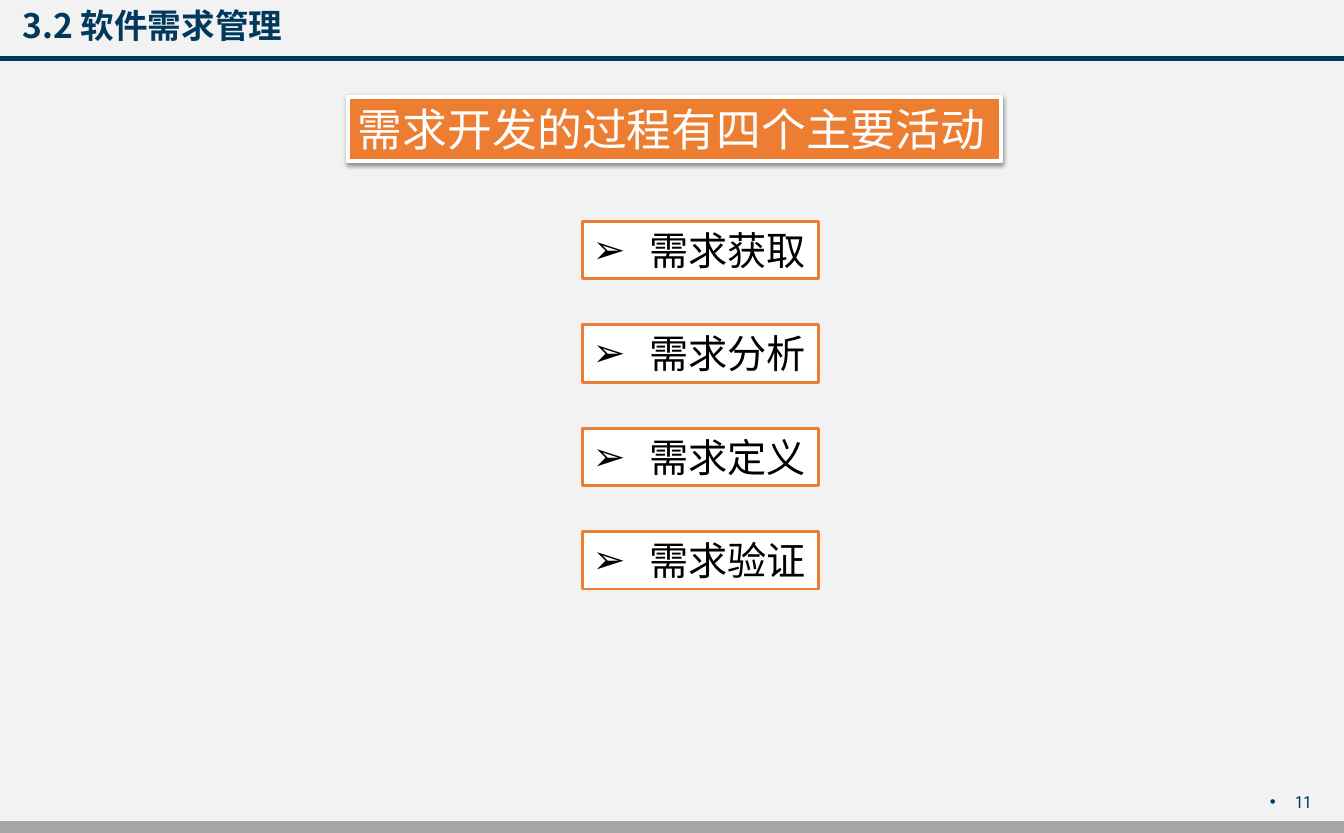
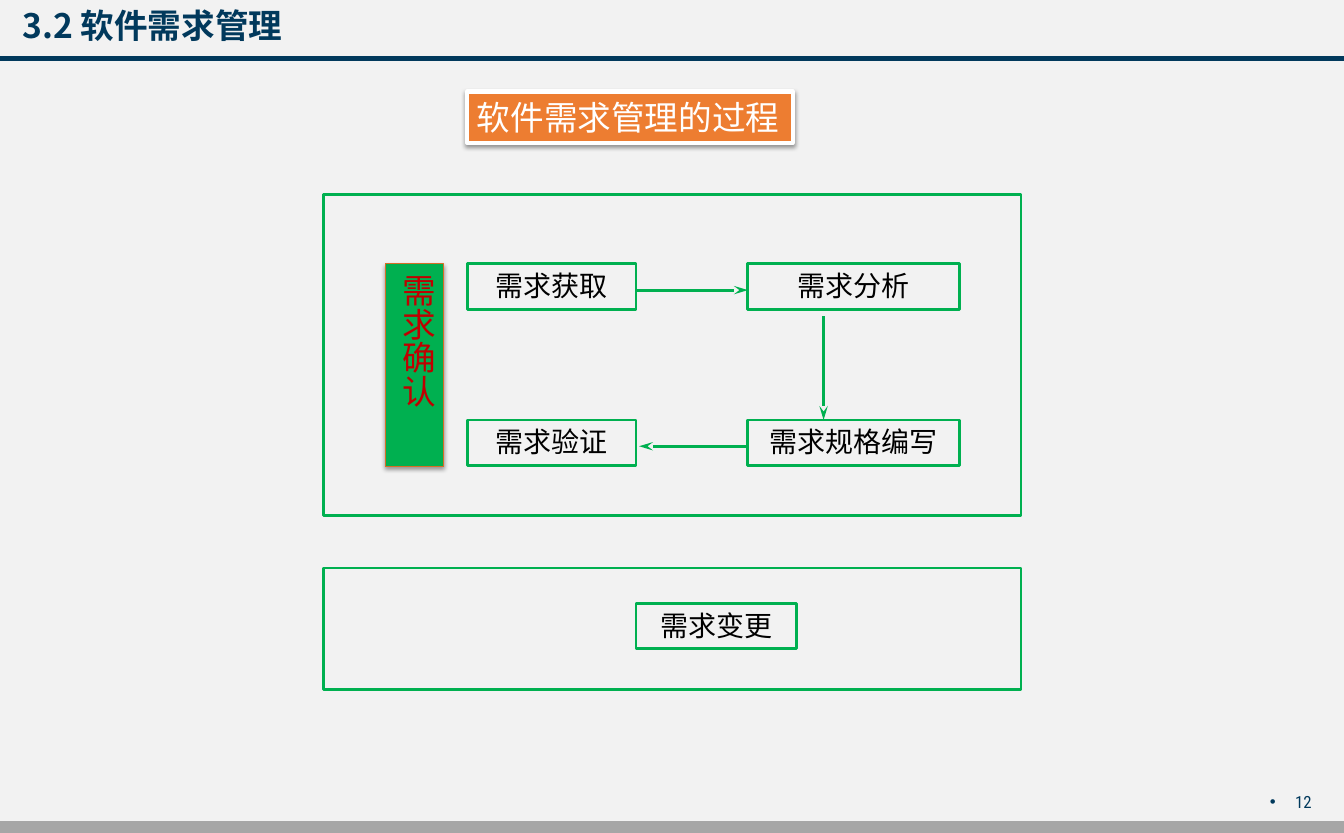
from lxml.etree import SubElement
from pptx import Presentation
from pptx.dml.color import RGBColor
from pptx.enum.shapes import MSO_CONNECTOR, MSO_SHAPE
from pptx.enum.text import MSO_ANCHOR, PP_ALIGN
from pptx.oxml.ns import qn
from pptx.util import Emu, Inches, Pt

NAVY, GREY, PAPER = "01395C", "A6A6A6", "F2F2F2"
ORANGE, RUST, GREEN, RED = "ED7D31", "D66E26", "00B050", "C00000"
WHITE, BLACK = "FFFFFF", "000000"
HAN, BODY, NARROW = "Noto Sans CJK SC", "Roboto Condensed", "Arial Narrow"

deck = Presentation()
deck.slide_width, deck.slide_height = Emu(12192000), Emu(7559675)
across, down = deck.slide_width / 100, deck.slide_height / 100
backdrop = deck.slide_master.background.fill
backdrop.solid()
backdrop.fore_color.rgb = RGBColor.from_string(PAPER)


def add_box(page, area, fill=None, line=None, weight=1, shadow=False):
    left, top, width, height = area
    box = page.shapes.add_shape(
        MSO_SHAPE.RECTANGLE, round(left * across), round(top * down),
        round(width * across), round(height * down))
    box.shadow.inherit = False
    if fill:
        box.fill.solid()
        box.fill.fore_color.rgb = RGBColor.from_string(fill)
    else:
        box.fill.background()
    if line:
        box.line.color.rgb = RGBColor.from_string(line)
        box.line.width = Pt(weight)
    else:
        box.line.fill.background()
    if shadow:
        effects = box._element.spPr.find(qn("a:effectLst"))
        outer = SubElement(effects, qn("a:outerShdw"), blurRad=str(Pt(3.1)),
                           dist=str(Pt(1.6)), dir="5400000", rotWithShape="0")
        shade = SubElement(outer, qn("a:srgbClr"), val=BLACK)
        SubElement(shade, qn("a:alpha"), val="38000")
    return box


def write(box, text, size, font, color, align=PP_ALIGN.LEFT,
          anchor=MSO_ANCHOR.TOP, wrap=True, bullet=None, indent=0):
    frame = box.text_frame
    frame.text = text
    frame.word_wrap = wrap
    frame.vertical_anchor = anchor
    para = frame.paragraphs[0]
    para.alignment = align
    if bullet:
        properties = para._p.get_or_add_pPr()
        properties.set("marL", str(Inches(indent)))
        properties.set("indent", str(-Inches(indent)))
        SubElement(properties, qn("a:buFont"), typeface="Arial")
        SubElement(properties, qn("a:buChar"), char=bullet)
    span = para.runs[0]
    span.font.name = font
    span.font.size = Pt(size)
    span.font.color.rgb = RGBColor.from_string(color)
    SubElement(span._r.get_or_add_rPr(), qn("a:ea"), typeface=HAN)
    return span


banners = [
    (11, "需求开发的过程有四个主要活动", 32, (25.9, 11.6, 48.61, 7.74)),
    (12, "软件需求管理的过程", 24, (34.75, 11, 24.23, 6.17)),
]
pages = []
for number, heading, size, area in banners:
    page = deck.slides.add_slide(deck.slide_layouts[6])
    pages.append(page)
    add_box(page, (0, 98.67, 100, 1.21), GREY, GREY)
    add_box(page, (0, 6.77, 100, 0.48), NAVY, NAVY)
    title = add_box(page, (0.94, 0, 30.08, 6.05))
    write(title, "3.2 软件需求管理", 24, HAN, NAVY,
          anchor=MSO_ANCHOR.MIDDLE).font.bold = True
    banner = add_box(page, area, ORANGE, WHITE, 3, shadow=True)
    write(banner, heading, size, BODY, WHITE, wrap=False)
    footer = add_box(page, (90, 94.44, 8.33, 3.63))
    write(footer, str(number), 12, BODY, NAVY, PP_ALIGN.RIGHT,
          MSO_ANCHOR.MIDDLE, bullet="•", indent=0.25)

activities_page, process_page = pages

for row, activity in enumerate(["需求获取", "需求分析", "需求定义", "需求验证"]):
    box = add_box(activities_page, (43.36, 26.58 + 12.41 * row, 17.55, 6.89),
                  WHITE, ORANGE, 2)
    write(box, activity, 28, BODY, BLACK, wrap=False, bullet="➢", indent=0.56)

for top, height in [(23.34, 38.57), (68.2, 14.63)]:
    add_box(process_page, (24.07, top, 51.9, height), line=GREEN, weight=2)

left_column, right_column = (34.8, 12.53), (55.65, 15.75)
upper_row, lower_row, change_row = 31.68, 50.42, 72.43
steps = [
    ("需求获取", left_column, upper_row),
    ("需求分析", right_column, upper_row),
    ("需求规格编写", right_column, lower_row),
    ("需求验证", left_column, lower_row),
    ("需求变更", (47.33, 11.93), change_row),
]
for step, (left, width), top in steps:
    box = add_box(process_page, (left, top, width, 5.44), line=GREEN, weight=2)
    write(box, step, 20, NARROW, BLACK, PP_ALIGN.CENTER)

left_edge, right_edge = sum(left_column), right_column[0]
arrows = [
    (left_edge, upper_row + 3.15, right_edge, upper_row + 3.15),
    (61.28, 37.97, 61.28, lower_row),
    (right_edge, lower_row + 3.15, left_edge + 0.22, lower_row + 3.15),
]
for start_x, start_y, end_x, end_y in arrows:
    arrow = process_page.shapes.add_connector(
        MSO_CONNECTOR.STRAIGHT, round(start_x * across), round(start_y * down),
        round(end_x * across), round(end_y * down))
    arrow.line.color.rgb = RGBColor.from_string(GREEN)
    arrow.line.width = Pt(2)
    SubElement(arrow.line._get_or_add_ln(), qn("a:tailEnd"),
               type="stealth", w="med", len="lg")
    SubElement(arrow._element.spPr, qn("a:effectLst"))

confirmation = add_box(process_page, (28.66, upper_row, 4.35, 24.3),
                       GREEN, RUST, 0.75, shadow=True)
write(confirmation, "需求确认", 24, NARROW, RED)
confirmation.text_frame.margin_right = Inches(0.05)
confirmation.text_frame.margin_top = Inches(0.1)
confirmation.text_frame._txBody.bodyPr.set("vert", "eaVert")

deck.save("out.pptx")
